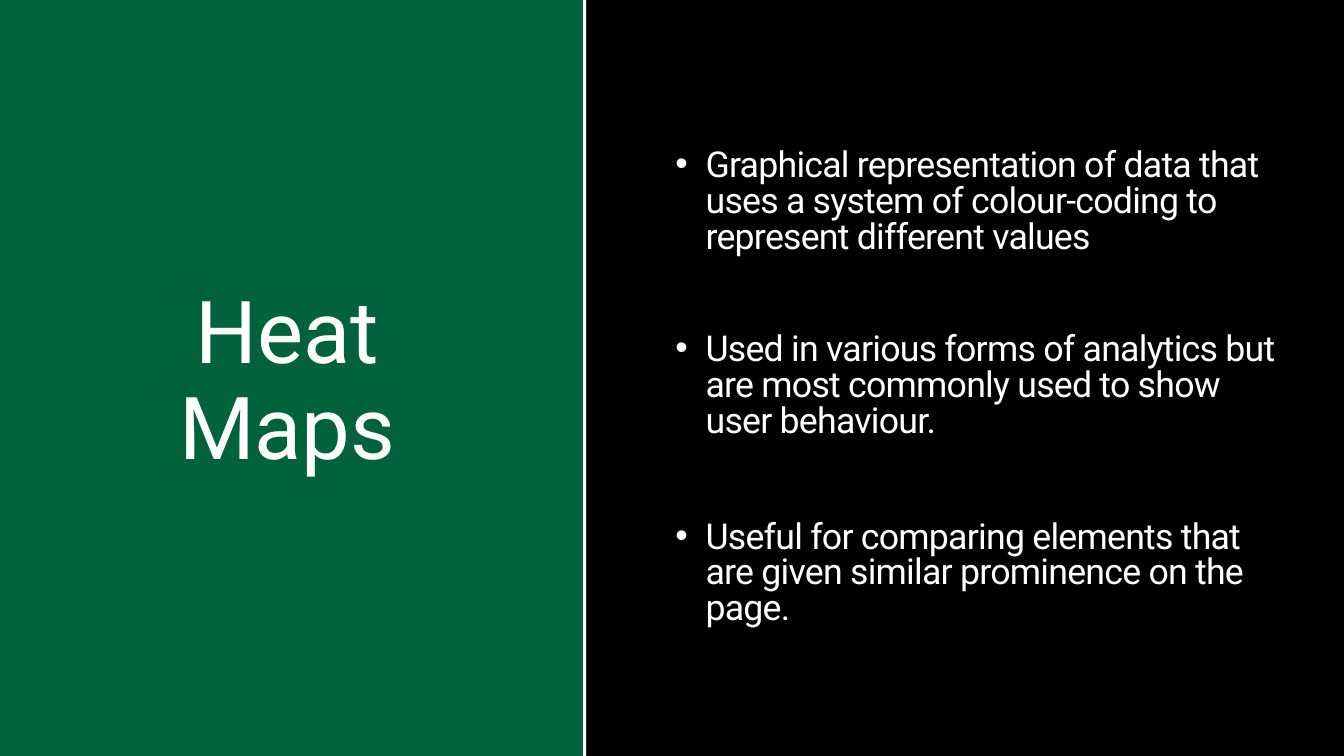
from lxml.etree import SubElement
from pptx import Presentation
from pptx.dml.color import RGBColor
from pptx.enum.shapes import MSO_CONNECTOR, MSO_SHAPE
from pptx.enum.text import PP_ALIGN
from pptx.oxml.ns import qn
from pptx.util import Inches, Pt

TITLE = ["Heat", "Maps"]
POINTS = [
    (2.22, "Graphical representation of data that uses a system of colour-coding to represent different values"),
    (4.96, "Used in various forms of analytics but are most commonly used to show user behaviour."),
    (7.75, "Useful for comparing elements that are given similar prominence on the page."),
]
WIDE, HIGH = 20, 11.25
PANEL, RULE = 8.73, 8.7
GREEN = RGBColor(0x01, 0x62, 0x3D)
WHITE = RGBColor(0xFF, 0xFF, 0xFF)
BLACK = RGBColor(0, 0, 0)
HEAD = {"size": Pt(93), "name": "Roboto"}
BODY = {"size": Pt(38.2), "name": "Roboto"}


def add_text(slide, area, lines, style, lead, align):
    frame = slide.shapes.add_textbox(*map(Inches, area)).text_frame
    frame.word_wrap = True
    for side in ("left", "top", "right", "bottom"):
        setattr(frame, f"margin_{side}", 0)
    for i, line in enumerate(lines):
        para = frame.add_paragraph() if i else frame.paragraphs[0]
        para.alignment, para.line_spacing = align, Pt(lead)
        run = para.add_run()
        run.text = line
        for key, value in style.items():
            setattr(run.font, key, value)
        run.font.color.rgb = WHITE
    return frame


def add_bullet(para):
    para.level = 1
    props = para._p.get_or_add_pPr()
    props.set("marL", str(Inches(0.9)))
    props.set("indent", str(Inches(-0.45)))
    SubElement(props, qn("a:buFont"), typeface="Arial")
    SubElement(props, qn("a:buChar"), char="•")
    for run in para.runs:
        run._r.get_or_add_rPr().set("spc", "-80")


def main():
    deck = Presentation()
    deck.slide_width, deck.slide_height = Inches(WIDE), Inches(HIGH)
    slide = deck.slides.add_slide(deck.slide_layouts[6])
    back = slide.background.fill
    back.solid()
    back.fore_color.rgb = BLACK

    panel = slide.shapes.add_shape(MSO_SHAPE.RECTANGLE, 0, 0, Inches(PANEL), Inches(HIGH))
    panel.shadow.inherit = False
    panel.fill.solid()
    panel.fill.fore_color.rgb = GREEN
    panel.line.fill.background()

    add_text(slide, (1.42, 4.25, 5.71, 2.88), TITLE, HEAD, 102.3, PP_ALIGN.CENTER)
    for top, text in POINTS:
        frame = add_text(slide, (9.6, top, 9.58, 1.63), [text], BODY, 38.2, PP_ALIGN.LEFT)
        add_bullet(frame.paragraphs[0])

    rule = slide.shapes.add_connector(
        MSO_CONNECTOR.STRAIGHT, Inches(RULE), 0, Inches(RULE), Inches(HIGH))
    rule.line.color.rgb = WHITE
    rule.line.width = Pt(3.75)
    SubElement(rule._element.spPr, qn("a:effectLst"))
    deck.save("out.pptx")


if __name__ == "__main__":
    main()
